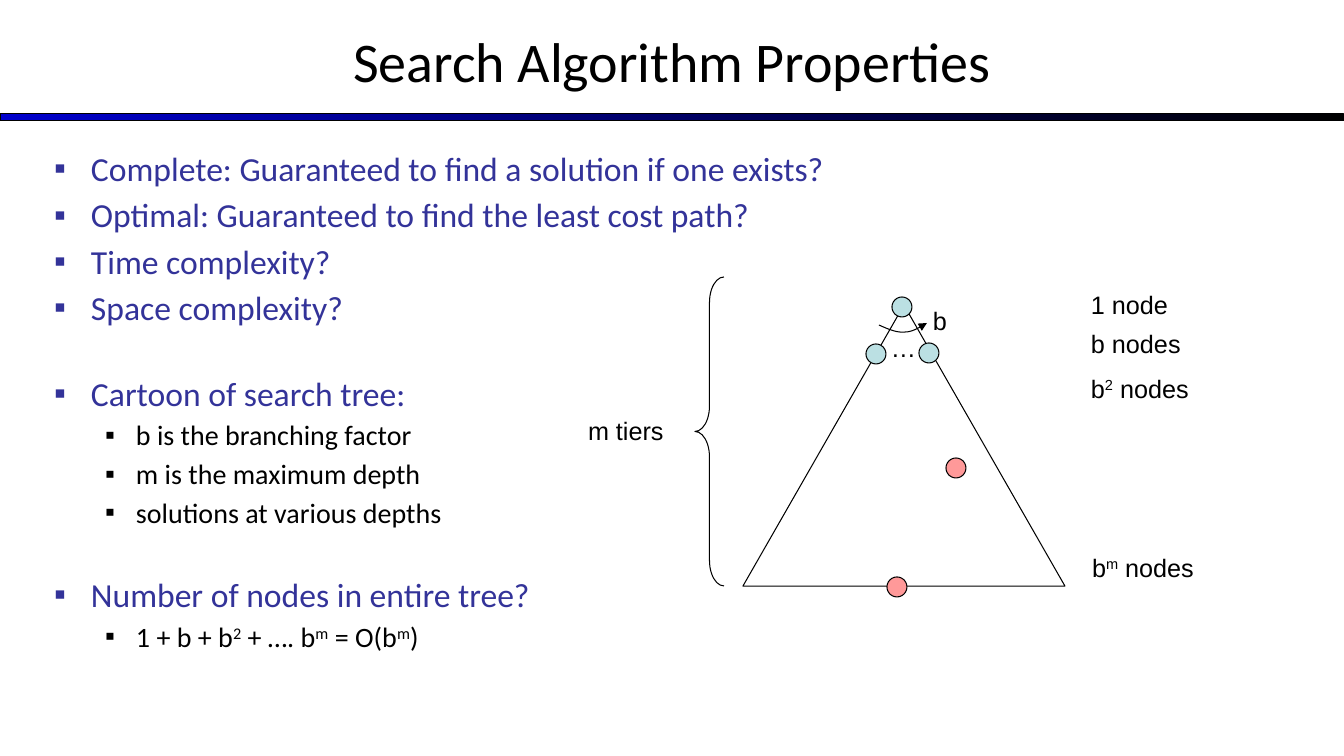
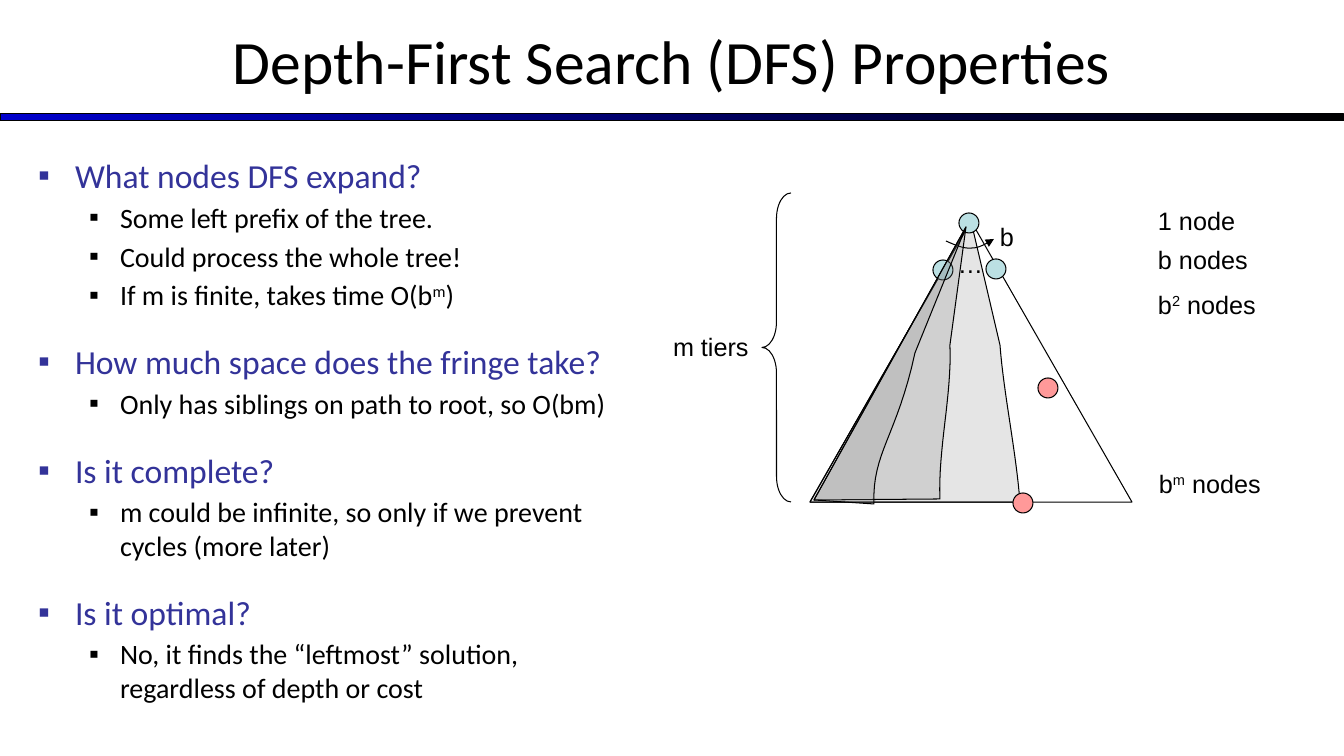
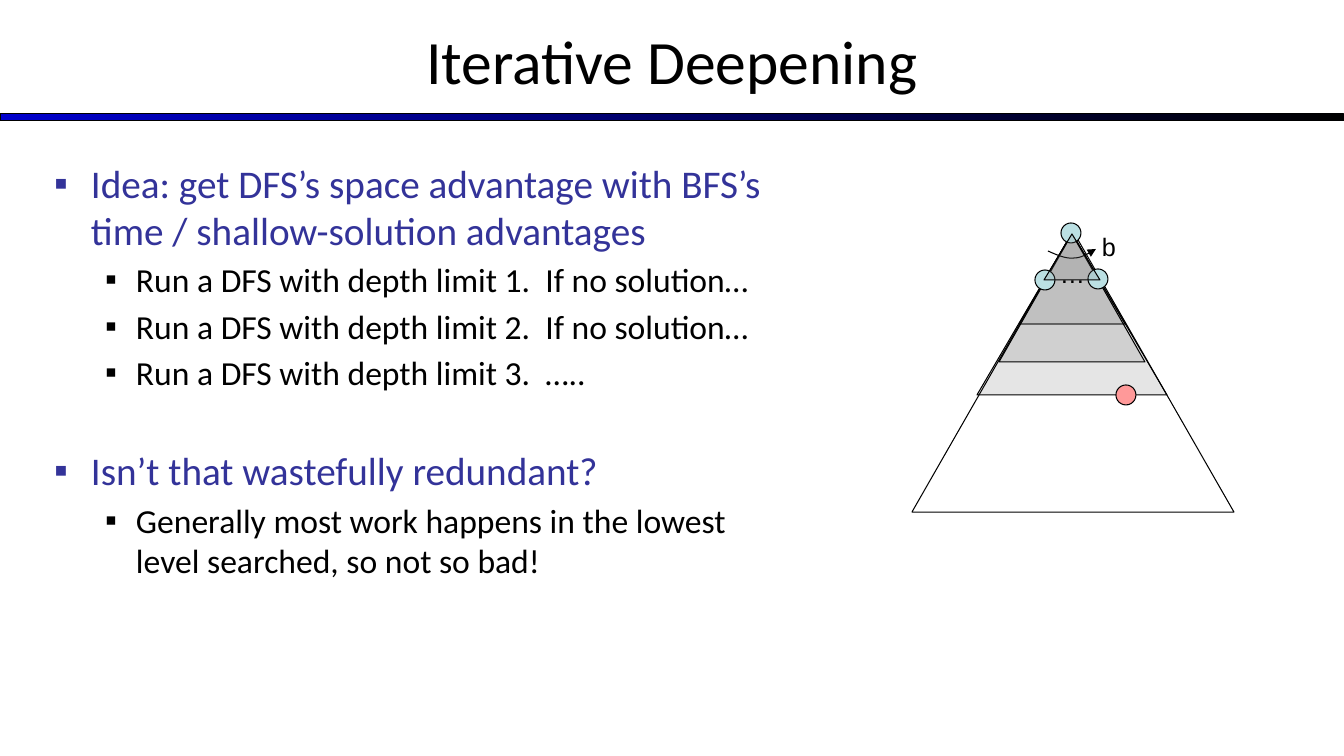
from dataclasses import dataclass

from lxml.etree import SubElement
from pptx import Presentation
from pptx.dml.color import RGBColor
from pptx.enum.shapes import MSO_SHAPE as Preset
from pptx.enum.text import MSO_ANCHOR, MSO_AUTO_SIZE, PP_ALIGN
from pptx.oxml.ns import qn
from pptx.util import Emu, Pt

SLIDE_WIDTH, SLIDE_HEIGHT = 1344, 756
EMU_PER_PX = 12192000 / SLIDE_WIDTH

Point = tuple[float, float]
Box = tuple[int, int, int, int]


@dataclass(frozen=True)
class Theme:
    black: str = "000000"
    heading: str = "333399"
    bar_start: str = "0000CC"
    node: str = "BBE0E3"
    goal: str = "FF9999"
    shade: str = "808080"
    shade_alpha: int = 20000
    text_font: str = "Calibri"
    label_font: str = "Arial"
    title_size: int = 44
    label_size: int = 18
    line_width: float = 0.75
    space_before: float = 0.18  # share of the type size
    skipped_line: float = 1.4  # height of a skipped line, share of its size


THEME = Theme()


@dataclass(frozen=True)
class Item:
    text: str  # the character after ^ is raised
    level: int = 0
    skip: int = 0  # type size of the line left free above


@dataclass(frozen=True)
class Label:
    text: str
    left: int
    top: int
    width: int = 123


@dataclass(frozen=True)
class Wedge:
    """Explored part of the tree with a curved right edge."""
    corner: Point
    base_end: Point
    control_1: Point
    control_2: Point
    bend: Point
    top: Point


@dataclass(frozen=True)
class DepthLimit:
    half_width: int
    top: int
    bottom: int


# Tree geometry, relative to the apex
NODE_SIZE = 20
NODES = [(-11, -8), (-37, 39), (16, 38)]
TREE_LEFT, TREE_WIDTH, TREE_HEIGHT = -160, 322, 281
BRANCH_LABELS = [Label("…", -22, 22, 30), Label("b", 20, -5, 33)]
TIER_LABELS = [Label("1 node", 178, -21), Label("b nodes", 178, 18),
               Label("b^2 nodes", 178, 63), Label("b^m nodes", 179, 242, 161)]
BRANCH_ARC = [(-24, 20), (-15, 24), (-6, 28), (2, 27),
              (10, 27), (17, 22), (24, 18)]

# Slide content
PROPERTIES = [
    Item("Complete: Guaranteed to find a solution if one exists?"),
    Item("Optimal: Guaranteed to find the least cost path?"),
    Item("Time complexity?"),
    Item("Space complexity?"),
    Item("Cartoon of search tree:", skip=20),
    Item("b is the branching factor", 1),
    Item("m is the maximum depth", 1),
    Item("solutions at various depths", 1),
    Item("Number of nodes in entire tree?", skip=20),
    Item("1 + b + b^2 + …. b^m = O(b^m)", 1),
]
DEPTH_FIRST = [
    Item("What nodes DFS expand?"),
    Item("Some left prefix of the tree.", 1),
    Item("Could process the whole tree!", 1),
    Item("If m is finite, takes time O(b^m)", 1),
    Item("How much space does the fringe take?", skip=12),
    Item("Only has siblings on path to root, so O(bm)", 1),
    Item("Is it complete?", skip=12),
    Item("m could be infinite, so only if we prevent cycles (more later)", 1),
    Item("Is it optimal?", skip=12),
    Item("No, it finds the “leftmost” solution, regardless of depth or cost", 1),
]
DEEPENING = [
    Item("Idea: get DFS’s space advantage with BFS’s time / shallow-solution advantages"),
    Item("Run a DFS with depth limit 1.  If no solution…", 1),
    Item("Run a DFS with depth limit 2.  If no solution…", 1),
    Item("Run a DFS with depth limit 3.  …..", 1),
    Item("Isn’t that wastefully redundant?", skip=24),
    Item("Generally most work happens in the lowest level searched, so not so bad!", 1),
]
WIDE_WEDGE = Wedge((810, 502), (1020, 502), (1016, 450), (1004, 396),
                   (1000, 345), (971, 221))
INNER_WEDGES = [
    Wedge((814, 500), (940, 499), (938, 448), (952, 396), (950, 345), (966, 227)),
    Wedge((814, 500), (874, 504), (872, 453), (897, 436), (915, 353), (966, 227)),
]
DEEP_LIMITS = [DepthLimit(53, 233, 324), DepthLimit(95, 233, 395),
               DepthLimit(73, 234, 362)]
FIRST_LIMIT = DepthLimit(28, 234, 280)


# Helpers
def px(value: float) -> Emu:
    return Emu(round(value * EMU_PER_PX))


def color(code: str) -> RGBColor:
    return RGBColor.from_string(code)


def outline(shape) -> None:
    shape.shadow.inherit = False
    shape.line.color.rgb = color(THEME.black)
    shape.line.width = Pt(THEME.line_width)


def paint(shape, fill: str | None) -> None:
    outline(shape)
    if fill is None:
        shape.fill.background()
    else:
        shape.fill.solid()
        shape.fill.fore_color.rgb = color(fill)


def paint_shade(shape) -> None:
    paint(shape, THEME.shade)
    fill = shape._element.spPr.find(qn("a:solidFill"))
    SubElement(fill[0], qn("a:alpha"), val=str(THEME.shade_alpha))


def add_preset(slide, kind, box: Box, fill: str | None = None):
    shape = slide.shapes.add_shape(kind, *map(px, box))
    paint(shape, fill)
    return shape


def add_outline(slide, points: list[Point], closed: bool):
    scaled = [(px(x), px(y)) for x, y in points]
    builder = slide.shapes.build_freeform(*scaled[0], scale=1.0)
    builder.add_line_segments(scaled[1:], close=closed)
    return builder.convert_to_shape()


def curve(start: Point, control_1: Point, control_2: Point, end: Point,
          steps: int = 16) -> list[Point]:
    """Points of a cubic curve, without its start."""
    points = []
    for step in range(1, steps + 1):
        t = step / steps
        weights = ((1 - t) ** 3, 3 * t * (1 - t) ** 2, 3 * t * t * (1 - t), t ** 3)
        corners = (start, control_1, control_2, end)
        points.append((sum(w * c[0] for w, c in zip(weights, corners)),
                       sum(w * c[1] for w, c in zip(weights, corners))))
    return points


# Text
def write(paragraph, text: str) -> None:
    plain, *raised_parts = text.split("^")
    paragraph.add_run().text = plain
    for part in raised_parts:
        raised = paragraph.add_run()
        raised.text = part[0]
        raised._r.get_or_add_rPr().set("baseline", "30000")
        if part[1:]:
            paragraph.add_run().text = part[1:]


def set_font(paragraph, name: str, size: int, code: str) -> None:
    paragraph.font.name = name
    paragraph.font.size = Pt(size)
    paragraph.font.color.rgb = color(code)


def set_frame(frame, anchor=MSO_ANCHOR.TOP) -> None:
    frame.word_wrap = True
    frame.auto_size = MSO_AUTO_SIZE.NONE
    frame.vertical_anchor = anchor
    frame.margin_left = frame.margin_right = px(10)
    frame.margin_top = frame.margin_bottom = px(5)


def place(shape, box: Box) -> None:
    shape.left, shape.top, shape.width, shape.height = map(px, box)


def set_bullet(paragraph, level: int, code: str) -> None:
    margin, hanging = ((37, 37), (82, 31))[level]
    properties = paragraph._p.get_or_add_pPr()
    properties.set("marL", str(px(margin)))
    properties.set("indent", str(-px(hanging)))
    bullet_color = SubElement(properties, qn("a:buClr"))
    SubElement(bullet_color, qn("a:srgbClr"), val=code)
    SubElement(properties, qn("a:buFont"), typeface=THEME.label_font)
    SubElement(properties, qn("a:buChar"), char="▪")


def add_label(slide, label: Label, apex: tuple[int, int]) -> None:
    box = (apex[0] + label.left, apex[1] + label.top, label.width, 40)
    frame = slide.shapes.add_textbox(*map(px, box)).text_frame
    set_frame(frame)
    write(frame.paragraphs[0], label.text)
    set_font(frame.paragraphs[0], THEME.label_font, THEME.label_size, THEME.black)


def fill_list(body, items: list[Item], box: Box, sizes: tuple[int, int]) -> None:
    place(body, box)
    frame = body.text_frame
    set_frame(frame)
    for index, item in enumerate(items):
        paragraph = frame.add_paragraph() if index else frame.paragraphs[0]
        size = sizes[item.level]
        code = (THEME.heading, THEME.black)[item.level]
        paragraph.level = item.level
        space = size * THEME.space_before + item.skip * THEME.skipped_line
        paragraph.space_before = Pt(space if index else 0)
        set_bullet(paragraph, item.level, code)
        set_font(paragraph, THEME.text_font, size, code)
        write(paragraph, item.text)


# Shared slide parts
def add_bar_to_layout(slide) -> None:
    bar = add_preset(slide, Preset.RECTANGLE, (0, 114, SLIDE_WIDTH, 7))
    bar.fill.gradient()
    bar.fill.gradient_angle = 0
    for stop, code in zip(bar.fill.gradient_stops, (THEME.bar_start, THEME.black)):
        stop.color.rgb = color(code)
    slide.slide_layout.shapes._spTree.insert(2, bar._element)


def add_slide(presentation, title: str, items: list[Item], box: Box,
              sizes: tuple[int, int], title_size: int = THEME.title_size):
    slide = presentation.slides.add_slide(presentation.slide_layouts[1])
    heading = slide.shapes.title
    place(heading, (0, -3, SLIDE_WIDTH, 126))
    set_frame(heading.text_frame, MSO_ANCHOR.MIDDLE)
    paragraph = heading.text_frame.paragraphs[0]
    paragraph.alignment = PP_ALIGN.CENTER
    write(paragraph, title)
    set_font(paragraph, THEME.text_font, title_size, THEME.black)
    fill_list(slide.placeholders[1], items, box, sizes)
    return slide


# Tree drawing
def add_node(slide, left: int, top: int, fill: str) -> None:
    add_preset(slide, Preset.OVAL, (left, top, NODE_SIZE, NODE_SIZE), fill)


def add_tree(slide, apex: tuple[int, int]) -> None:
    x, y = apex
    add_preset(slide, Preset.ISOSCELES_TRIANGLE,
               (x + TREE_LEFT, y, TREE_WIDTH, TREE_HEIGHT))
    for left, top in NODES:
        add_node(slide, x + left, y + top, THEME.node)
    for label in BRANCH_LABELS:
        add_label(slide, label, apex)
    arc = [(x + dx, y + dy) for dx, dy in BRANCH_ARC]
    arrow = add_outline(slide, arc[:1] + curve(*arc[:4]) + curve(*arc[3:]), False)
    paint(arrow, None)
    SubElement(arrow.line._get_or_add_ln(), qn("a:tailEnd"), type="triangle")


def add_tiers(slide, apex: tuple[int, int], tiers_left: int) -> None:
    x, y = apex
    for label in [*TIER_LABELS, Label("m tiers", tiers_left, 105, 139)]:
        add_label(slide, label, apex)
    brace = add_preset(slide, Preset.LEFT_BRACE, (x - 208, y - 28, 29, 309))
    brace.adjustments[0] = 0.88


def add_wedge(slide, wedge: Wedge) -> None:
    edge = curve(wedge.base_end, wedge.control_1, wedge.control_2, wedge.bend)
    points = [wedge.corner, wedge.base_end, *edge, wedge.top]
    paint_shade(add_outline(slide, points, True))


def add_limit(slide, limit: DepthLimit, center: int) -> None:
    box = (center - limit.half_width, limit.top,
           2 * limit.half_width, limit.bottom - limit.top)
    paint_shade(add_preset(slide, Preset.ISOSCELES_TRIANGLE, box))


# Slides
def add_properties_slide(presentation) -> None:
    slide = add_slide(presentation, "Search Algorithm Properties", PROPERTIES,
                      (44, 143, 1254, 521), (24, 20), title_size=40)
    add_bar_to_layout(slide)
    apex = (903, 305)
    add_tree(slide, apex)
    add_tiers(slide, apex, -325)
    for left, top in [(887, 577), (946, 458)]:
        add_node(slide, left, top, THEME.goal)


def add_depth_first_slide(presentation) -> None:
    slide = add_slide(presentation, "Depth-First Search (DFS) Properties",
                      DEPTH_FIRST, (28, 150, 602, 521), (24, 20))
    apex = (970, 221)
    add_wedge(slide, WIDE_WEDGE)
    add_tree(slide, apex)
    add_tiers(slide, apex, -307)
    for wedge in INNER_WEDGES:
        add_wedge(slide, wedge)
    for left, top in [(1013, 493), (1038, 378)]:
        add_node(slide, left, top, THEME.goal)


def add_deepening_slide(presentation) -> None:
    slide = add_slide(presentation, "Iterative Deepening", DEEPENING,
                      (44, 154, 762, 521), (28, 24))
    apex = (1072, 231)
    for limit in DEEP_LIMITS:
        add_limit(slide, limit, apex[0])
    add_tree(slide, apex)
    add_node(slide, 1116, 385, THEME.goal)
    add_limit(slide, FIRST_LIMIT, apex[0])


def main() -> None:
    presentation = Presentation()
    presentation.slide_width = px(SLIDE_WIDTH)
    presentation.slide_height = px(SLIDE_HEIGHT)
    add_properties_slide(presentation)
    add_depth_first_slide(presentation)
    add_deepening_slide(presentation)
    presentation.save("out.pptx")


if __name__ == "__main__":
    main()
